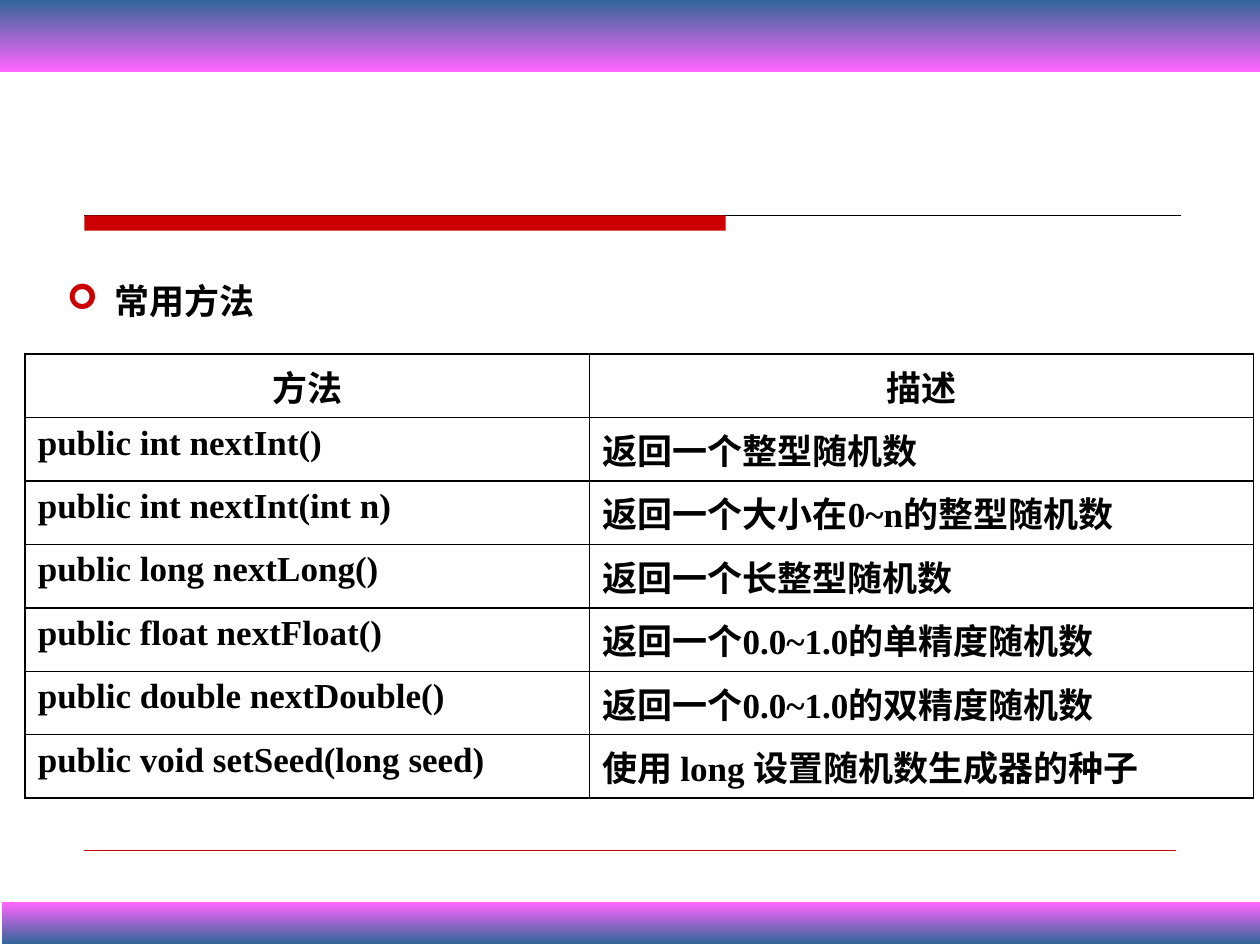
import pptx
import pptx.util
import pptx.dml.color
import pptx.enum.shapes
import pptx.enum.text
import pptx.oxml
import pptx.oxml.ns

Inches = pptx.util.Inches
Pt = pptx.util.Pt
COLORS = {"red": "CC0000", "black": "000000", "pink": "FF66FF", "blue": "336699"}
ROWS = [
    ("方法", "描述"),
    ("public int nextInt()", "返回一个整型随机数"),
    ("public int nextInt(int n)", "返回一个大小在0~n的整型随机数"),
    ("public long nextLong()", "返回一个长整型随机数"),
    ("public float nextFloat()", "返回一个0.0~1.0的单精度随机数"),
    ("public double nextDouble()", "返回一个0.0~1.0的双精度随机数"),
    ("public void setSeed(long seed)", "使用 long 设置随机数生成器的种子"),
]


def color(name):
    return pptx.dml.color.RGBColor.from_string(COLORS[name])


def node(tag, inner=""):
    name = tag.split()[0]
    space = pptx.oxml.ns.nsdecls("a")
    return pptx.oxml.parse_xml(f"<a:{tag} {space}>{inner}</a:{name}>")


class Page:
    font = "Times New Roman"
    size = 20

    def __init__(self, slide):
        self.slide = slide

    def label(self, para, text):
        run = para.add_run()
        run.text = text
        run.font.name = self.font
        run.font.size = Pt(self.size)
        run.font.bold = True
        run.font.color.rgb = color("black")

    def block(self, left, top, width, height):
        shape = self.slide.shapes.add_shape(
            pptx.enum.shapes.MSO_SHAPE.RECTANGLE,
            Inches(left), Inches(top), Inches(width), Inches(height))
        shape.shadow.inherit = False
        shape.line.fill.background()
        return shape

    def bar(self, left, top, width, height, hue):
        shape = self.block(left, top, width, height)
        shape.fill.solid()
        shape.fill.fore_color.rgb = color(hue)

    def band(self, left, top, width, height, hues):
        fill = self.block(left, top, width, height).fill
        fill.gradient()
        fill.gradient_angle = 270
        for stop, hue in zip(fill.gradient_stops, hues):
            stop.color.rgb = color(hue)

    def rule(self, left, right, top, hue, weight):
        line = self.slide.shapes.add_connector(
            pptx.enum.shapes.MSO_CONNECTOR.STRAIGHT,
            Inches(left), Inches(top), Inches(right), Inches(top))
        line.line.color.rgb = color(hue)
        line.line.width = Pt(weight)
        line._element.spPr.append(node("effectLst"))

    def list(self, left, top, width, height, items):
        body = self.slide.placeholders[1]
        body.left, body.top = Inches(left), Inches(top)
        body.width, body.height = Inches(width), Inches(height)
        frame = body.text_frame
        frame.word_wrap = True
        frame.auto_size = pptx.enum.text.MSO_AUTO_SIZE.NONE
        for pos, item in enumerate(items):
            para = frame.add_paragraph() if pos else frame.paragraphs[0]
            props = para._p.get_or_add_pPr()
            props.set("marL", str(Inches(0.38)))
            props.set("indent", str(-Inches(0.38)))
            props.append(node("buClr", f'<a:srgbClr val="{COLORS["red"]}"/>'))
            props.append(node('buFont typeface="Wingdings"'))
            props.append(node('buChar char="➢"'))
            para.space_before = Pt(0)
            self.label(para, item)

    def edge(self, cell):
        props = cell._tc.get_or_add_tcPr()
        paint = f'<a:solidFill><a:srgbClr val="{COLORS["black"]}"/></a:solidFill>'
        for pos, side in enumerate(("lnL", "lnR", "lnT", "lnB")):
            props.insert(pos, node(f'{side} w="{Pt(1)}"', paint))

    def table(self, left, top, widths, height, rows):
        grid = self.slide.shapes.add_table(
            len(rows), len(widths), Inches(left), Inches(top),
            Inches(sum(widths)), Inches(height * len(rows))).table
        grid.first_row = False
        grid.horz_banding = False
        for col, width in zip(grid.columns, widths):
            col.width = Inches(width)
        for r, row in enumerate(rows):
            grid.rows[r].height = Inches(height)
            for c, text in enumerate(row):
                cell = grid.cell(r, c)
                cell.fill.background()
                self.edge(cell)
                para = cell.text_frame.paragraphs[0]
                if r == 0:
                    para.alignment = pptx.enum.text.PP_ALIGN.CENTER
                self.label(para, text)


def main():
    deck = pptx.Presentation()
    deck.slide_width = Inches(10)
    deck.slide_height = Inches(7.5)
    slide = deck.slides.add_slide(deck.slide_layouts[1])
    title = slide.shapes.title._element
    title.getparent().remove(title)
    page = Page(slide)
    page.rule(0.67, 9.37, 1.71, "black", 0.75)
    page.bar(0.67, 1.71, 5.09, 0.12, "red")
    page.rule(0.67, 9.33, 6.75, "red", 0.25)
    page.band(0.02, 7.16, 10, 0.33, ("pink", "blue"))
    page.band(0, 0, 10, 0.57, ("blue", "pink"))
    page.table(0.2, 2.81, (4.48, 5.27), 0.5, ROWS)
    page.list(0.43, 2.17, 1.93, 0.36, ["常用方法"])
    deck.save("out.pptx")


if __name__ == "__main__":
    main()
